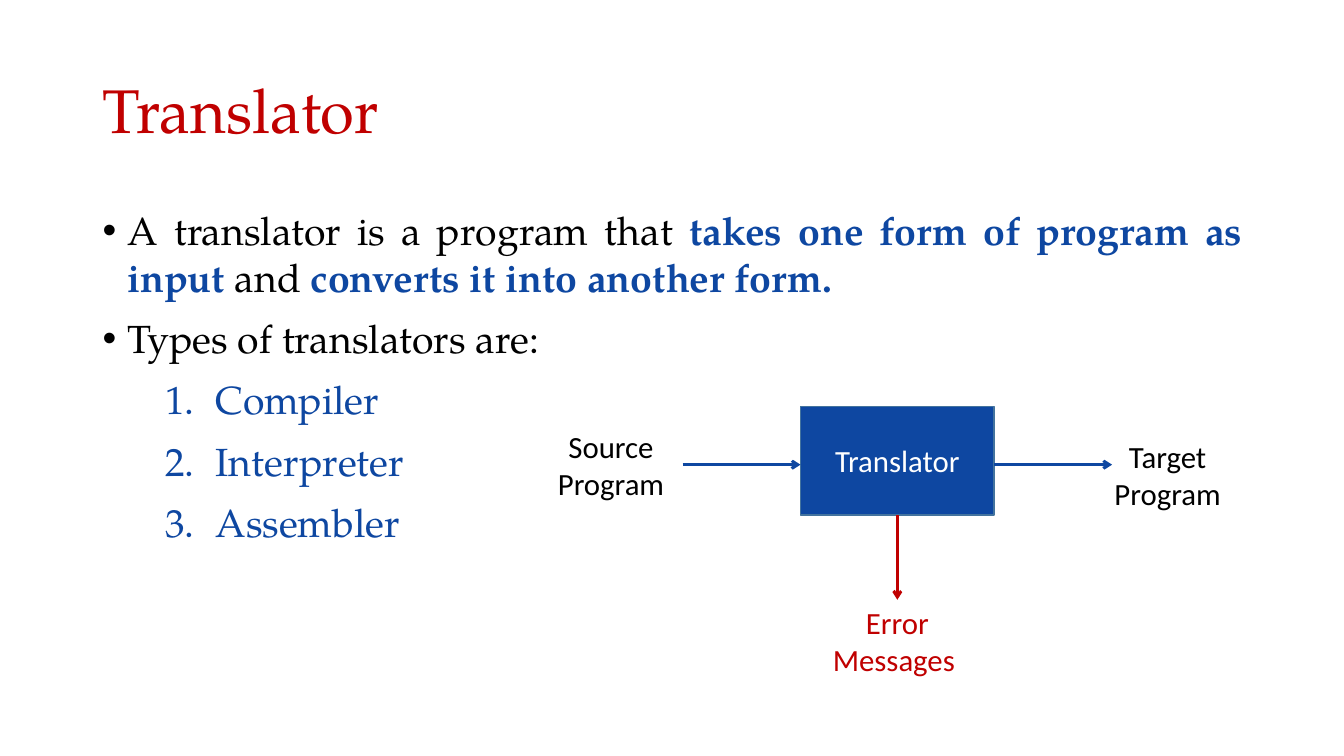
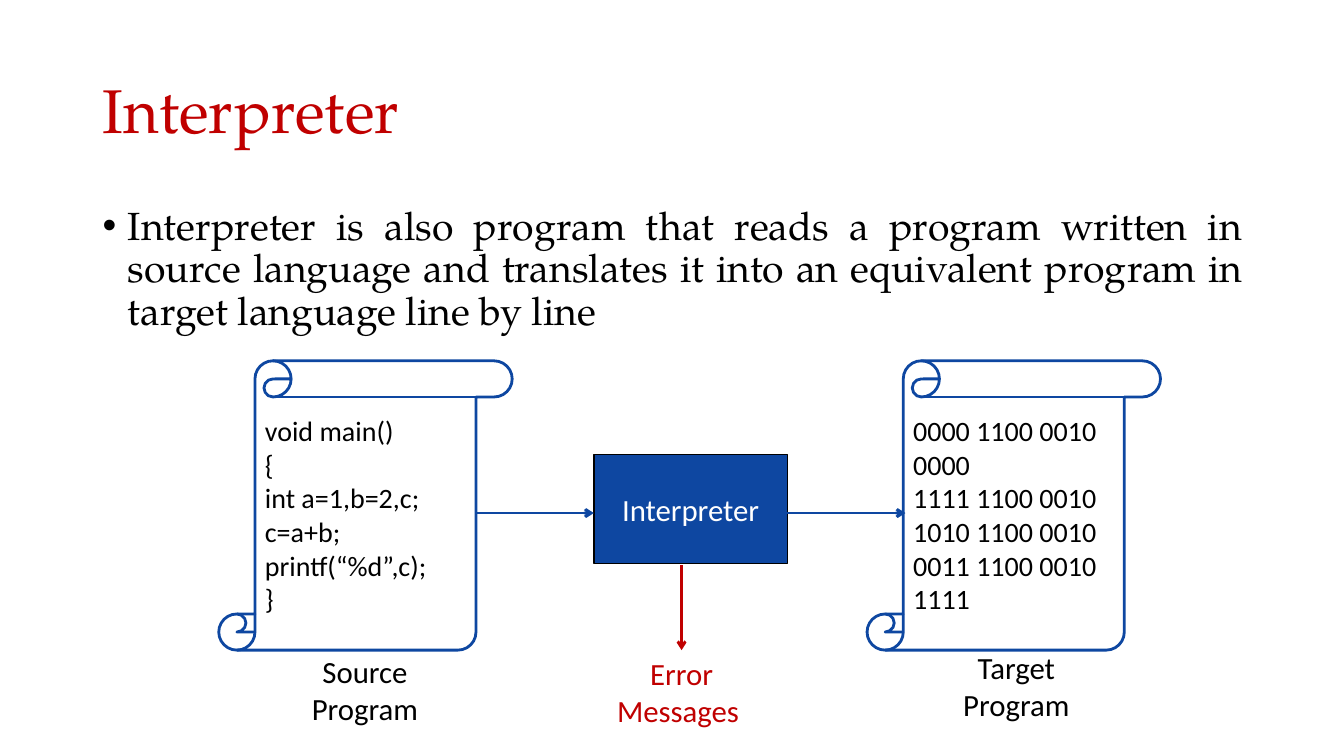
"""Build two slides that introduce translators and interpreters."""
import pptx
import pptx.util
import pptx.dml.color
import pptx.enum.shapes
import pptx.enum.text
import pptx.oxml.ns
from lxml import etree

Inches = pptx.util.Inches
Pt = pptx.util.Pt
RGB = pptx.dml.color.RGBColor.from_string
Align = pptx.enum.text.PP_ALIGN
Anchor = pptx.enum.text.MSO_ANCHOR
Preset = pptx.enum.shapes.MSO_SHAPE
qn = pptx.oxml.ns.qn

COLORS = {"red": "C00000", "blue": "0E47A1", "black": "000000", "white": "FFFFFF", "steel": "43739E"}
SERIF, SANS = "TeX Gyre Pagella", "Calibri"
LABEL = {"name": SANS, "size": Pt(22)}
CODE = {"name": SANS, "size": Pt(20)}
TITLE = {"name": SERIF, "size": Pt(44)}
BODY = {"name": SERIF, "size": Pt(28)}
LIST_STYLES = {
    "bullet": (0.25, -0.25, "buChar", {"char": "•"}),
    "number": (1.12, -0.5, "buAutoNum", {"type": "arabicPeriod"}),
}
NODE_W, NODE_H = 1.92, 1.08
ARROW_LENGTH, ERROR_ARROW_LENGTH, ERROR_OFFSET = 1.17, 0.84, 0.71
SCROLL_W, SCROLL_H = 2.91, 2.87


def write(shape, paragraphs, font, align=Align.CENTER, anchor=Anchor.MIDDLE, spacing=1.0):
    """Fill a shape with paragraphs of (list style, runs), each run a (text, colour, bold)."""
    frame = shape.text_frame
    frame.word_wrap = True
    frame.vertical_anchor = anchor
    for index, (list_style, runs) in enumerate(paragraphs):
        paragraph = frame.paragraphs[0] if index == 0 else frame.add_paragraph()
        paragraph.alignment = align
        paragraph.line_spacing = spacing
        if list_style:
            if index:
                paragraph.space_before = Pt(10)
            margin, indent, marker, attributes = LIST_STYLES[list_style]
            properties = paragraph._p.get_or_add_pPr()
            properties.set("marL", str(Inches(margin)))
            properties.set("indent", str(Inches(indent)))
            etree.SubElement(properties, qn("a:buFont"), typeface="Arial" if marker == "buChar" else SERIF)
            etree.SubElement(properties, qn("a:" + marker), attributes)
        for text, color, bold in runs:
            run = paragraph.add_run()
            run.text = text
            for attribute, value in {**font, "bold": bold}.items():
                setattr(run.font, attribute, value)
            run.font.color.rgb = RGB(COLORS[color])


def add_arrow(slide, start, end, color):
    """Draw a straight arrow between two points in inches."""
    ends = [Inches(value) for value in (*start, *end)]
    arrow = slide.shapes.add_connector(pptx.enum.shapes.MSO_CONNECTOR.STRAIGHT, *ends)
    arrow.line.color.rgb = RGB(COLORS[color])
    arrow.line.width = Pt(2)
    etree.SubElement(arrow.line._get_or_add_ln(), qn("a:tailEnd"), type="arrow")
    etree.SubElement(arrow._element.spPr, qn("a:effectLst"))


SLIDES = [
    {
        "title": "Translator",
        "body": [
            ("bullet", [
                ("A translator is a program that ", "black", False),
                ("takes one form of program as input ", "blue", True),
                ("and ", "black", False),
                ("converts it into another form. ", "blue", True),
            ]),
            ("bullet", [("Types of translators are:", "black", False)]),
            *[("number", [(kind, "blue", False)]) for kind in ("Compiler", "Interpreter", "Assembler")],
        ],
        "spacing": 1.0,
        "node": (7.94, 4.03),
        "border": "steel",
        "error_start": (8.9, 5.11),
        "labels": {"Source Program": (5.1, 4.07), "Target Program": (10.62, 4.17)},
        "scrolls": [],
    },
    {
        "title": "Interpreter",
        "body": [
            ("bullet", [(
                "Interpreter is also program that reads a program written in source language and "
                "translates it into an equivalent program in target language line by line",
                "black", False,
            )]),
        ],
        "spacing": 0.9,
        "node": (5.89, 4.51),
        "border": "black",
        "error_start": (6.76, 5.61),
        "labels": {"Source Program": (2.66, 6.3), "Target Program": (9.12, 6.26)},
        "scrolls": [
            (2.17, ["void main()", "{", "int a=1,b=2,c;", "c=a+b;", "printf(“%d”,c);", "}"]),
            (8.6, ["0000 1100 0010", "0000", "1111 1100 0010", "1010 1100 0010", "0011 1100 0010", "1111"]),
        ],
    },
]

deck = pptx.Presentation()
deck.slide_width, deck.slide_height = Inches(13.33), Inches(7.5)

for content in SLIDES:
    slide = deck.slides.add_slide(deck.slide_layouts[6])

    title = slide.shapes.add_textbox(Inches(0.92), Inches(0.4), Inches(11.5), Inches(1.45))
    write(title, [(None, [(content["title"], "red", False)])], TITLE, Align.LEFT, spacing=0.9)
    body = slide.shapes.add_textbox(Inches(0.92), Inches(2), Inches(11.5), Inches(4.76))
    write(body, content["body"], BODY, Align.JUSTIFY, Anchor.TOP, content["spacing"])

    left, top = content["node"]
    node = slide.shapes.add_shape(Preset.RECTANGLE, Inches(left), Inches(top), Inches(NODE_W), Inches(NODE_H))
    node.shadow.inherit = False
    node.fill.solid()
    node.fill.fore_color.rgb = RGB(COLORS["blue"])
    node.line.color.rgb = RGB(COLORS[content["border"]])
    node.line.width = Pt(1)
    write(node, [(None, [(content["title"], "white", False)])], LABEL)

    flow_y = top + 0.58
    for start_x in (left - ARROW_LENGTH, left + NODE_W):
        add_arrow(slide, (start_x, flow_y), (start_x + ARROW_LENGTH, flow_y), "blue")
    error_x, error_y = content["error_start"]
    add_arrow(slide, (error_x, error_y), (error_x, error_y + ERROR_ARROW_LENGTH), "red")

    for scroll_left, lines in content["scrolls"]:
        scroll = slide.shapes.add_shape(
            Preset.VERTICAL_SCROLL, Inches(scroll_left), Inches(3.58), Inches(SCROLL_W), Inches(SCROLL_H))
        scroll.shadow.inherit = False
        scroll.fill.background()
        scroll.line.color.rgb = RGB(COLORS["blue"])
        scroll.line.width = Pt(2)
        write(scroll, [(None, [(line, "black", False)]) for line in lines], CODE, Align.LEFT)

    labels = [([text], "black", place) for text, place in content["labels"].items()]
    labels.append((["Error", "Messages "], "red", (error_x - NODE_W / 2, error_y + ERROR_OFFSET)))
    for lines, color, (label_left, label_top) in labels:
        label = slide.shapes.add_textbox(
            Inches(label_left), Inches(label_top), Inches(NODE_W), Inches(NODE_H))
        write(label, [(None, [(line, color, False)]) for line in lines], LABEL)

deck.save("out.pptx")
